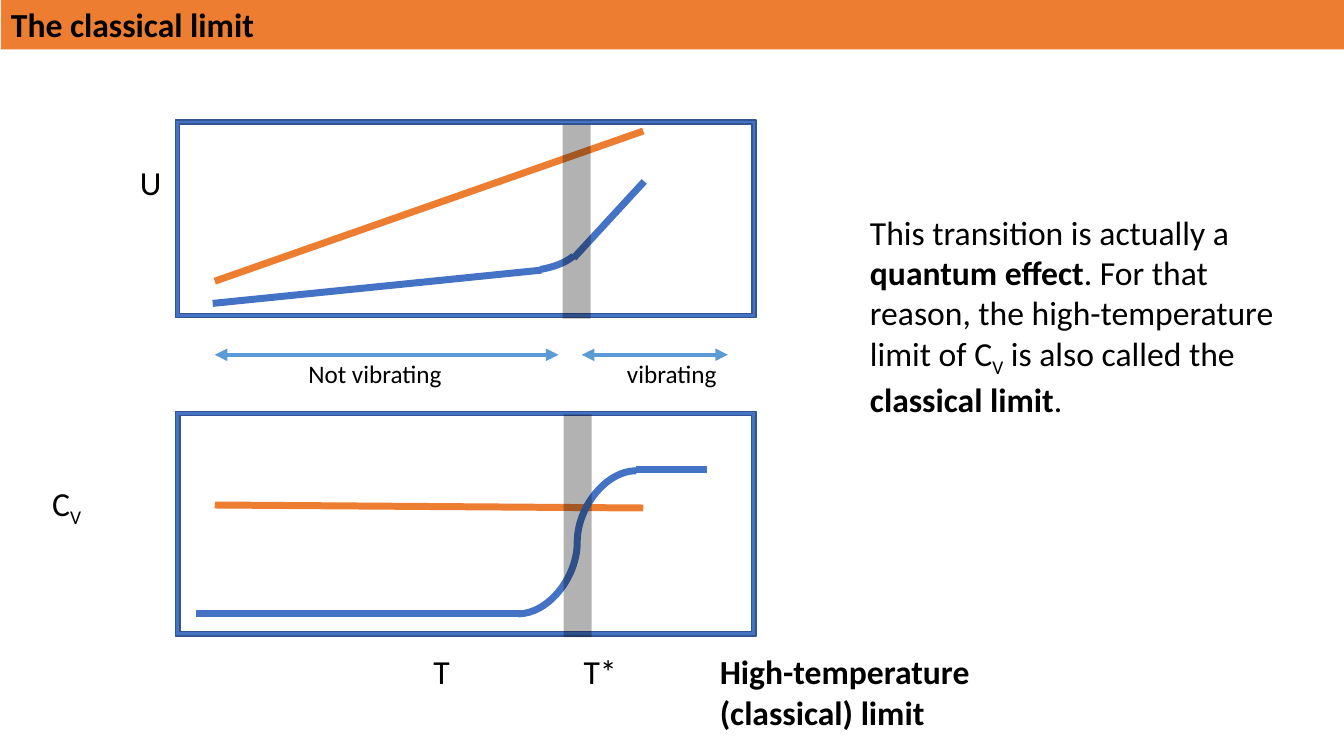
from lxml import etree
from pptx import Presentation
from pptx.dml.color import RGBColor
from pptx.enum.shapes import MSO_CONNECTOR, MSO_SHAPE
from pptx.enum.text import MSO_ANCHOR, MSO_AUTO_SIZE, PP_ALIGN
from pptx.oxml.ns import qn
from pptx.util import Pt

PX = 9144
STRAIGHT, CURVE = MSO_CONNECTOR.STRAIGHT, MSO_CONNECTOR.CURVE
RECTANGLE, FRAME, ARC = MSO_SHAPE.RECTANGLE, MSO_SHAPE.FRAME, MSO_SHAPE.ARC
MIDDLE, LEFT = MSO_ANCHOR.MIDDLE, PP_ALIGN.LEFT
FIT = MSO_AUTO_SIZE.SHAPE_TO_FIT_TEXT
color = RGBColor.from_string
BLUE, ORANGE, SKY, BLACK = "4472C4", "ED7D31", "5B9BD5", "000000"

deck = Presentation()
deck.slide_width, deck.slide_height = 1333 * PX, 750 * PX
slide = deck.slides.add_slide(deck.slide_layouts[6])
shapes = slide.shapes


def add_line(x1, y1, x2, y2, hex_color, width=5, kind=STRAIGHT):
    line = shapes.add_connector(kind, x1 * PX, y1 * PX, x2 * PX, y2 * PX)
    line.line.color.rgb = color(hex_color)
    line.line.width = Pt(width)
    etree.SubElement(line._element.spPr, qn("a:effectLst"))
    return line.line._get_or_add_ln()


def write_text(shape, parts, size=24, bold=False):
    frame = shape.text_frame
    frame.word_wrap = True
    frame.auto_size = FIT
    paragraph = frame.paragraphs[0]
    paragraph.alignment = LEFT
    paragraph.font.name = "Calibri"
    paragraph.font.size = Pt(size)
    paragraph.font.color.rgb = color(BLACK)
    if bold:
        paragraph.font.bold = True
    for text, style in parts:
        run = paragraph.add_run()
        run.text = text
        if style == "bold":
            run.font.bold = True
        elif style == "sub":
            run.font._element.set("baseline", "-25000")


title = shapes.add_shape(RECTANGLE, 1 * PX, -1 * PX, 1333 * PX, 50 * PX)
title.shadow.inherit = False
title.fill.solid()
title.fill.fore_color.rgb = color(ORANGE)
title.line.fill.background()
title.text_frame.vertical_anchor = MIDDLE
write_text(title, [("The classical limit", None)], bold=True)

for top, height in [(119, 196), (408, 223)]:
    plot = shapes.add_shape(FRAME, 174 * PX, top * PX, 576 * PX, height * PX)
    plot.adjustments[0] = 0.02
    plot.shadow.inherit = False
    plot.fill.solid()
    plot.fill.fore_color.rgb = color(BLUE)
    plot.line.color.rgb = color("325491")
    plot.line.width = Pt(1)

for x1, y1, x2, y2, hex_color in [
    (211, 301, 537, 268, BLUE),
    (213, 279, 638, 130, ORANGE),
    (194, 609, 520, 609, BLUE),
    (213, 501, 638, 504, ORANGE),
    (569, 256, 639, 180, BLUE),
    (631, 466, 701, 466, BLUE),
]:
    add_line(x1, y1, x2, y2, hex_color)

energy_bend = shapes.add_shape(ARC, 455 * PX, 209 * PX, 122 * PX, 60 * PX)
energy_bend.adjustments[0] = 9.4
energy_bend.adjustments[1] = 33.06
energy_bend.shadow.inherit = False
energy_bend.fill.background()
energy_bend.line.color.rgb = color(BLUE)
energy_bend.line.width = Pt(5)

add_line(514, 609, 631, 467, BLUE, kind=CURVE)

for start, end in [(213, 554), (577, 722)]:
    regime = add_line(start, 352, end, 352, SKY, 3)
    for tip in ("a:headEnd", "a:tailEnd"):
        etree.SubElement(regime, qn(tip), type="triangle")

for left, top, width, height, size, bold, parts in [
    (129, 156, 117, 50, 24, False, [("U", None)]),
    (42, 474, 117, 50, 24, False, [("C", None), ("V", "sub")]),
    (420, 641, 117, 50, 24, False, [("T", None)]),
    (569, 641, 117, 50, 24, False, [("T*", None)]),
    (296, 351, 184, 40, 18, False, [("Not vibrating", None)]),
    (612, 351, 112, 40, 18, False, [("vibrating", None)]),
    (704, 641, 341, 91, 24, True, [("High-temperature (classical) limit", None)]),
    (853, 205, 445, 212, 24, False, [
        ("This transition is actually a ", None),
        ("quantum effect", "bold"),
        (". For that reason, the high-temperature limit of C", None),
        ("V", "sub"),
        (" is also called the ", None),
        ("classical limit", "bold"),
        (".", None),
    ]),
]:
    label = shapes.add_textbox(left * PX, top * PX, width * PX, height * PX)
    write_text(label, parts, size, bold)

for x, top, bottom in [(572, 124, 316), (573, 411, 632)]:
    transition = add_line(x, top, x, bottom, BLACK, 20)
    tint = transition.find(qn("a:solidFill")).find(qn("a:srgbClr"))
    etree.SubElement(tint, qn("a:alpha"), val="30000")

deck.save("out.pptx")
